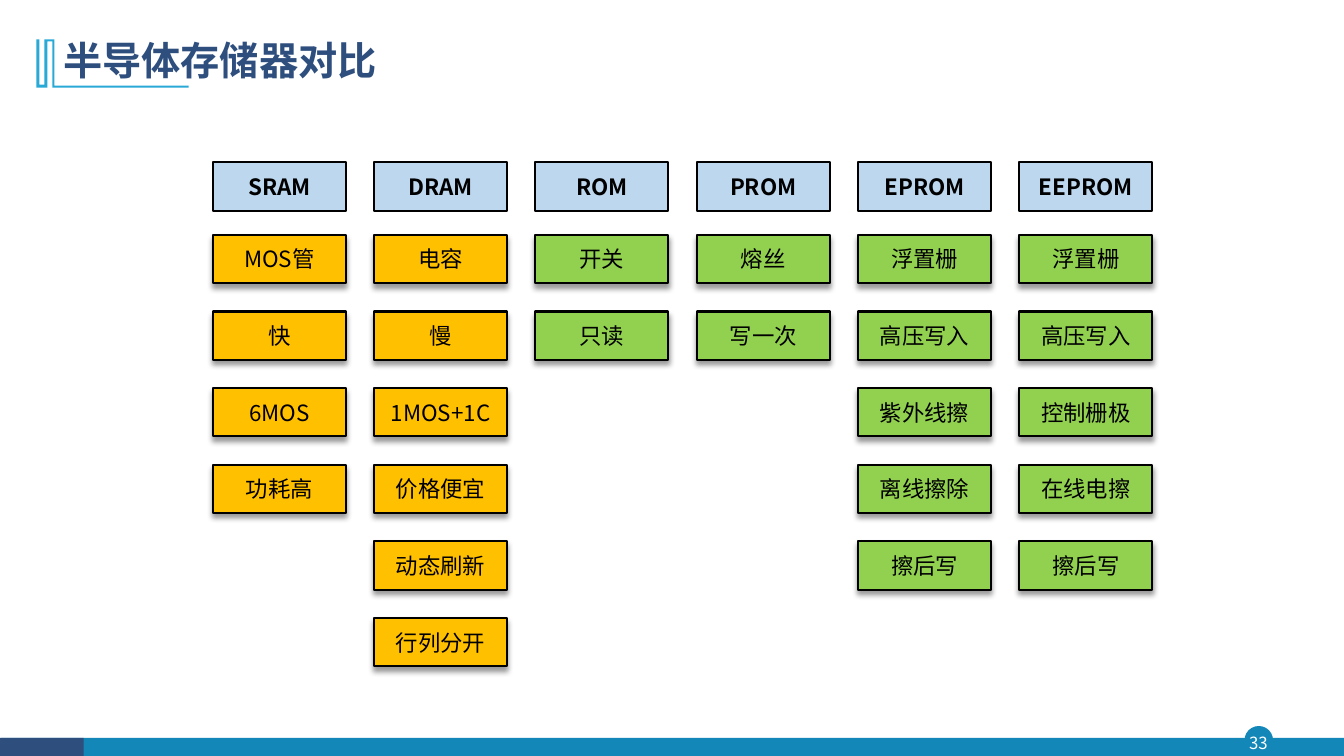
from lxml import etree
from pptx import Presentation
from pptx.dml.color import RGBColor
from pptx.enum.shapes import MSO_SHAPE
from pptx.enum.text import MSO_ANCHOR, PP_ALIGN
from pptx.oxml.ns import qn
from pptx.util import Emu, Pt

RECTANGLE = MSO_SHAPE.RECTANGLE
ELLIPSE = MSO_SHAPE.OVAL
MIDDLE = MSO_ANCHOR.MIDDLE
LEFT = PP_ALIGN.LEFT
CENTER = PP_ALIGN.CENTER

EMU_PER_PX = 9144
FONT = "Noto Sans CJK SC"
BLACK = "000000"
WHITE = "FFFFFF"
NAVY = "2E4E7E"
TEAL = "1387B7"
SKY = "28A9D6"
HEADER_BLUE = "BDD7EE"
ORANGE = "FFC000"
GREEN = "92D050"

BOX_WIDTH, BOX_HEIGHT = 132, 48
FIRST_LEFT, COLUMN_STEP = 211, 160
HEADER_TOP, FIRST_TOP, ROW_STEP = 161, 233, 76

MEMORIES = [
    ("SRAM", ORANGE, ["MOS管", "快", "6MOS", "功耗高"]),
    ("DRAM", ORANGE, ["电容", "慢", "1MOS+1C", "价格便宜", "动态刷新", "行列分开"]),
    ("ROM", GREEN, ["开关", "只读"]),
    ("PROM", GREEN, ["熔丝", "写一次"]),
    ("EPROM", GREEN, ["浮置栅", "高压写入", "紫外线擦", "离线擦除", "擦后写"]),
    ("EEPROM", GREEN, ["浮置栅", "高压写入", "控制栅极", "在线电擦", "擦后写"]),
]

TITLE_MARK = [
    (54, 39), (54, 85), (187, 85), (187, 87), (52, 87), (52, 41), (47, 41), (47, 87),
    (36, 87), (36, 39), (39, 39), (39, 84), (44, 84), (44, 39),
]


def px(value):
    return Emu(value * EMU_PER_PX)


def color(value):
    return RGBColor.from_string(value)


class SlideBuilder:
    def __init__(self, slide, font_name):
        self.slide = slide
        self.font_name = font_name

    def paint(self, shape, fill, line=None, line_width=1):
        shape.shadow.inherit = False
        shape.fill.solid()
        shape.fill.fore_color.rgb = color(fill)
        if line:
            shape.line.color.rgb = color(line)
            shape.line.width = Pt(line_width)
        else:
            shape.line.fill.background()

    def set_text(self, shape, text, size, text_color, bold=False, align=CENTER, margins=(0, 0)):
        frame = shape.text_frame
        frame.text = text
        frame.word_wrap = True
        frame.vertical_anchor = MIDDLE
        frame.margin_left = frame.margin_right = px(margins[0])
        frame.margin_top = frame.margin_bottom = px(margins[1])
        paragraph = frame.paragraphs[0]
        paragraph.alignment = align
        for run in paragraph.runs:
            run.font.size = Pt(size)
            run.font.bold = bold
            run.font.color.rgb = color(text_color)
            run.font.name = self.font_name
            east_asian = etree.SubElement(run.font._element, qn("a:ea"))
            east_asian.set("typeface", self.font_name)
        return paragraph

    def shape(self, kind, left, top, width, height, fill, line=None, line_width=1):
        shape = self.slide.shapes.add_shape(kind, px(left), px(top), px(width), px(height))
        self.paint(shape, fill, line, line_width)
        return shape

    def text(self, left, top, width, height, text, size, text_color, **style):
        box = self.slide.shapes.add_textbox(px(left), px(top), px(width), px(height))
        return self.set_text(box, text, size, text_color, **style)

    def outline(self, points, fill):
        builder = self.slide.shapes.build_freeform(*points[0], scale=EMU_PER_PX)
        builder.add_line_segments(points[1:], close=True)
        self.paint(builder.convert_to_shape(), fill)

    def box(self, left, top, text, fill, bold=False):
        shape = self.shape(RECTANGLE, left, top, BOX_WIDTH, BOX_HEIGHT, fill, BLACK, 1.5)
        self.set_text(shape, text, 16, BLACK, bold=bold)
        return shape

    def drop_shadow(self, shape):
        effects = shape._element.spPr.find(qn("a:effectLst"))
        shadow = etree.SubElement(effects, qn("a:outerShdw"))
        shadow.set("blurRad", str(Pt(4)))
        shadow.set("dist", str(Pt(3)))
        shadow.set("dir", "5400000")
        shadow.set("algn", "t")
        shadow.set("rotWithShape", "0")
        shade = etree.SubElement(shadow, qn("a:srgbClr"), val=BLACK)
        etree.SubElement(shade, qn("a:alpha"), val="40000")


def main():
    presentation = Presentation()
    presentation.slide_width = px(1333)
    presentation.slide_height = px(750)
    slide = presentation.slides.add_slide(presentation.slide_layouts[6])
    builder = SlideBuilder(slide, FONT)

    builder.shape(ELLIPSE, 1235, 721, 27, 27, TEAL, TEAL)
    builder.shape(RECTANGLE, 1, 732, 1332, 19, TEAL)
    builder.shape(RECTANGLE, 0, 732, 83, 19, NAVY)
    builder.text(1232, 721, 32, 31, "33", 12, WHITE)
    builder.outline(TITLE_MARK, SKY)
    title = builder.text(53, 28, 1150, 68, "半导体存储器对比", 28, NAVY,
                         bold=True, align=LEFT, margins=(10, 5))
    title.line_spacing = 0.9

    for column, (name, fill, traits) in enumerate(MEMORIES):
        left = FIRST_LEFT + column * COLUMN_STEP
        builder.box(left, HEADER_TOP, name, HEADER_BLUE, bold=True)
        for row, trait in enumerate(traits):
            trait_box = builder.box(left, FIRST_TOP + row * ROW_STEP, trait, fill)
            builder.drop_shadow(trait_box)

    presentation.save("out.pptx")


if __name__ == "__main__":
    main()
